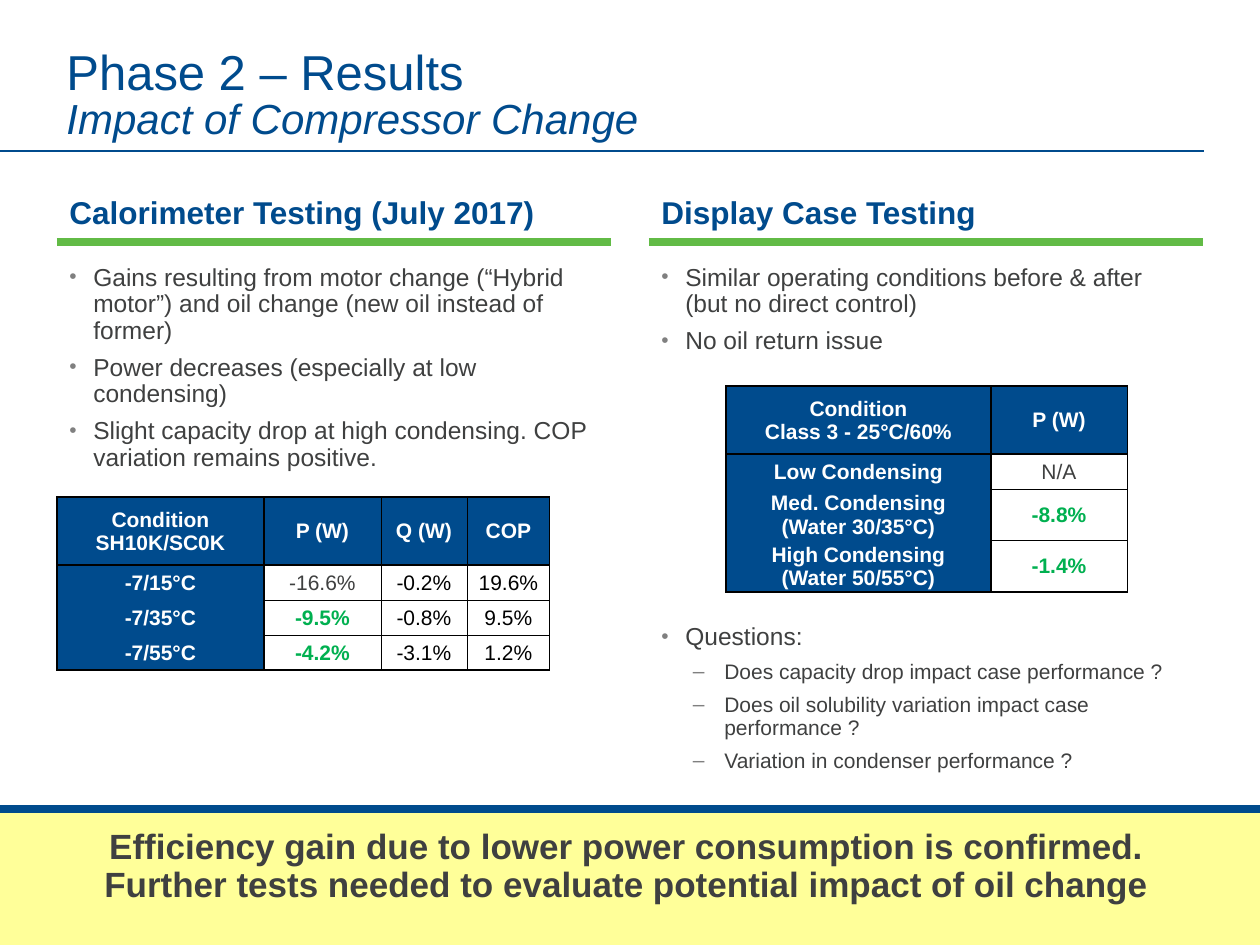
from lxml import etree
from pptx import Presentation, util as u
from pptx.dml.color import RGBColor
from pptx.enum import shapes, text
from pptx.oxml.ns import qn

PX_PER_INCH = 126
FONT = "Arial"
BLUE = RGBColor(0x00, 0x4B, 0x8D)
GREEN = RGBColor(0x62, 0xBB, 0x46)
GAIN = RGBColor(0x00, 0xB0, 0x50)
YELLOW = RGBColor(0xFF, 0xFF, 0x99)
DARK = RGBColor(0x3F, 0x40, 0x40)
GREY = RGBColor(0x80, 0x80, 0x80)
BLACK = RGBColor(0, 0, 0)
WHITE = RGBColor(0xFF, 0xFF, 0xFF)

COLUMN_LEFTS = (57, 649)
COLUMN_WIDTH = 554
QUESTIONS_GAP = 151  # points left free for the table above the questions


def px(length):
    return u.Emu(round(length * 914400 / PX_PER_INCH))


def add_xml(parent, tag, **attributes):
    return etree.SubElement(parent, qn(tag), attributes)


def add_rule(slide, left, y, right, color, weight):
    rule = slide.shapes.add_connector(
        shapes.MSO_CONNECTOR.STRAIGHT, px(left), px(y), px(right), px(y))
    rule.line.color.rgb = color
    rule.line.width = u.Pt(weight)
    add_xml(rule._element.spPr, "a:effectLst")


def style_paragraph(paragraph, size, color, bold=False, spacing=None):
    paragraph.line_spacing = spacing
    for run in paragraph.runs:
        run.font.name = FONT
        run.font.size = u.Pt(size)
        run.font.bold = bold
        run.font.color.rgb = color


def add_text(slide, box, content, anchor=text.MSO_ANCHOR.TOP, top=6, bottom=6):
    """Place a wrapping text box; box and insets are in px."""
    textbox = slide.shapes.add_textbox(*map(px, box))
    frame = textbox.text_frame
    frame.word_wrap = True
    frame.vertical_anchor = anchor
    frame.margin_left = frame.margin_right = u.Inches(0.1)
    frame.margin_top, frame.margin_bottom = px(top), px(bottom)
    frame.text = content
    return textbox


def add_title(slide, heading, subtitle):
    title = add_text(slide, (54, 18, 1152, 131), f"{heading}\v{subtitle}",
                     text.MSO_ANCHOR.BOTTOM)
    paragraph = title.text_frame.paragraphs[0]
    style_paragraph(paragraph, 28, BLUE, spacing=0.85)
    subtitle_font = paragraph.runs[1].font
    subtitle_font.size = u.Pt(24)
    subtitle_font.italic = True


def add_column_heading(slide, left, heading):
    add_rule(slide, left, 242, left + COLUMN_WIDTH, GREEN, 4.5)
    box = add_text(slide, (left, 168, COLUMN_WIDTH, 63), heading,
                   text.MSO_ANCHOR.BOTTOM, top=13, bottom=0)
    paragraph = box.text_frame.paragraphs[0]
    style_paragraph(paragraph, 18, BLUE, bold=True, spacing=0.9)
    paragraph.space_after = u.Pt(3)


def add_bullet(paragraph, level):
    margin, hanging, char = ((0.19, 0.19, "•"), (0.5, 0.25, "–"))[level]
    paragraph.level = level
    properties = paragraph._p.get_or_add_pPr()
    properties.set("marL", str(u.Inches(margin)))
    properties.set("indent", str(-u.Inches(hanging)))
    color = add_xml(properties, "a:buClr")
    add_xml(color, "a:srgbClr", val=str(GREY))
    if level == 0:
        add_xml(properties, "a:buSzPct", val="85000")
    add_xml(properties, "a:buFont", typeface=FONT)
    add_xml(properties, "a:buChar", char=char)


def add_bullets(slide, left, items):
    """Write items of (level, space before in points, wording)."""
    box = add_text(slide, (left, 252, COLUMN_WIDTH, 536),
                   "\n".join(wording for _, _, wording in items), top=13)
    for paragraph, (level, before, _) in zip(box.text_frame.paragraphs, items):
        add_bullet(paragraph, level)
        style_paragraph(paragraph, (14, 12)[level], DARK, spacing=0.9)
        paragraph.space_before = u.Pt(before)
        paragraph.space_after = u.Pt(3)


def set_borders(cell, row, column, last_row):
    """Thick lines around the headings, thin ones between the results."""
    top = 1 if row <= 1 else 0.5
    bottom = 1 if row in (0, last_row) else 0.5
    if column == 0:
        top = 1 if row <= 1 else 0
        bottom = 1 if row in (0, last_row) else 0
    widths = {"a:lnL": 1 if column <= 1 else 0.5,
              "a:lnR": 1 if column == 0 else 0.5,
              "a:lnT": top, "a:lnB": bottom}
    properties = cell._tc.get_or_add_tcPr()
    for tag, width in widths.items():
        border = add_xml(properties, tag, w=str(u.Pt(width)))
        if width:
            fill = add_xml(border, "a:solidFill")
            add_xml(fill, "a:srgbClr", val=str(BLACK))
        else:
            add_xml(border, "a:noFill")


def fill_cell(cell, wording, is_heading, color):
    if is_heading:
        cell.fill.solid()
        cell.fill.fore_color.rgb = BLUE
    else:
        cell.fill.background()
    cell.vertical_anchor = text.MSO_ANCHOR.MIDDLE
    cell.margin_left = cell.margin_right = cell.margin_top = px(1)
    cell.margin_bottom = 0
    cell.text_frame.text = wording
    for paragraph in cell.text_frame.paragraphs:
        paragraph.alignment = text.PP_ALIGN.CENTER
        style_paragraph(paragraph, 12, color, bold=color in (WHITE, GAIN))


def result_color(row, column):
    """Power: plain in the first result row, then green; the rest black."""
    if row == 0 or column == 0:
        return WHITE
    if column > 1:
        return BLACK
    return DARK if row == 1 else GAIN


def add_results(slide, left, top, widths, heights, rows):
    table = slide.shapes.add_table(
        len(rows), len(widths), px(left), px(top),
        px(sum(widths)), px(sum(heights))).table
    table.first_row = table.horz_banding = False
    for column, width in zip(table.columns, widths):
        column.width = px(width)
    for row, height in zip(table.rows, heights):
        row.height = px(height)
    for r, row in enumerate(rows):
        for c, wording in enumerate(row):
            cell = table.cell(r, c)
            set_borders(cell, r, c, len(rows) - 1)
            fill_cell(cell, wording, r == 0 or c == 0, result_color(r, c))


def add_conclusion(slide, wording):
    band = slide.shapes.add_shape(
        shapes.MSO_SHAPE.RECTANGLE, *map(px, (0, 809, 1260, 136)))
    band.shadow.inherit = False
    band.fill.solid()
    band.fill.fore_color.rgb = YELLOW
    band.line.fill.background()
    add_rule(slide, 0, 809, 1260, BLUE, 4.5)
    box = add_text(slide, (11, 829, 1231, 116), wording, top=0)
    box.fill.solid()
    box.fill.fore_color.rgb = YELLOW
    for paragraph in box.text_frame.paragraphs:
        paragraph.alignment = text.PP_ALIGN.CENTER
        style_paragraph(paragraph, 20, DARK, bold=True, spacing=0.9)


def main():
    deck = Presentation()
    deck.slide_width, deck.slide_height = px(1260), px(945)
    slide = deck.slides.add_slide(deck.slide_layouts[6])
    calorimeter, display_case = COLUMN_LEFTS

    add_rule(slide, 0, 151, 1204, BLUE, 0.75)
    add_title(slide, "Phase 2 – Results", "Impact of Compressor Change")
    add_conclusion(
        slide, "Efficiency gain due to lower power consumption is confirmed.\n"
        "Further tests needed to evaluate potential impact of oil change")

    add_column_heading(slide, calorimeter, "Calorimeter Testing (July 2017)")
    add_bullets(slide, calorimeter, [
        (0, 0, "Gains resulting from motor change (“Hybrid motor”) and oil "
               "change (new oil instead of former)"),
        (0, 3, "Power decreases (especially at low condensing)"),
        (0, 3, "Slight capacity drop at high condensing. COP variation "
               "remains positive."),
    ])
    add_results(slide, 57, 497, (207, 117, 86, 83), (68, 35, 35, 35), [
        ("Condition\nSH10K/SC0K", "P (W)", "Q (W)", "COP"),
        ("-7/15°C", "-16.6%", "-0.2%", "19.6%"),
        ("-7/35°C", "-9.5%", "-0.8%", "9.5%"),
        ("-7/55°C", "-4.2%", "-3.1%", "1.2%"),
    ])

    add_column_heading(slide, display_case, "Display Case Testing")
    add_bullets(slide, display_case, [
        (0, 0, "Similar operating conditions before & after (but no direct "
               "control)"),
        (0, 3, "No oil return issue"),
        (0, QUESTIONS_GAP, "Questions:"),
        (1, 3, "Does capacity drop impact case performance ?"),
        (1, 3, "Does oil solubility variation impact case performance ?"),
        (1, 3, "Variation in condenser performance ?"),
    ])
    add_results(slide, 726, 386, (265, 136), (68, 35, 48, 48), [
        ("Condition\nClass 3 - 25°C/60%", "P (W)"),
        ("Low Condensing", "N/A"),
        ("Med. Condensing\n(Water 30/35°C)", "-8.8%"),
        ("High Condensing\n(Water 50/55°C)", "-1.4%"),
    ])
    deck.save("out.pptx")


if __name__ == "__main__":
    main()
